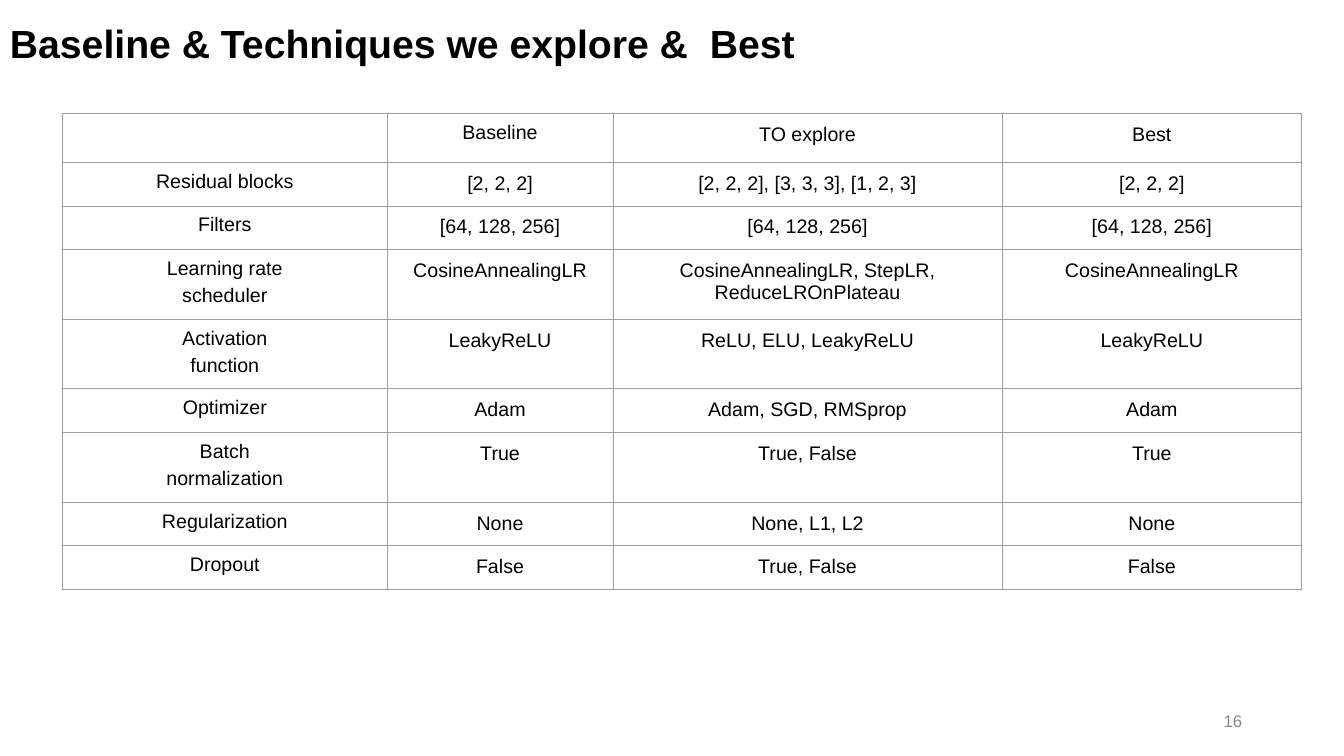
from lxml import etree
from pptx import Presentation
from pptx.dml.color import RGBColor
from pptx.enum.text import MSO_ANCHOR as Anchor, PP_ALIGN as Align
from pptx.oxml.ns import qn
from pptx.util import Inches, Pt

# Content: a line break in a label starts a new paragraph
TITLE = "Baseline & Techniques we explore &  Best"
PAGE_NUMBER = "16"
SETTINGS = [
    ("", "Baseline", "TO explore", "Best"),
    ("Residual blocks", "[2, 2, 2]", "[2, 2, 2], [3, 3, 3], [1, 2, 3]", "[2, 2, 2]"),
    ("Filters", "[64, 128, 256]", "[64, 128, 256]", "[64, 128, 256]"),
    ("Learning rate\nscheduler", "CosineAnnealingLR",
     "CosineAnnealingLR, StepLR, ReduceLROnPlateau", "CosineAnnealingLR"),
    ("Activation\nfunction", "LeakyReLU", "ReLU, ELU, LeakyReLU", "LeakyReLU"),
    ("Optimizer", "Adam", "Adam, SGD, RMSprop", "Adam"),
    ("Batch\nnormalization", "True", "True, False", "True"),
    ("Regularization", "None", "None, L1, L2", "None"),
    ("Dropout", "False", "True, False", "False"),
]

# Look and layout, in inches
COLORS = {"text": "000000", "number": "888888", "border": "9E9E9E"}
FONT = "Arial"
SLIDE_W, SLIDE_H = 13.33, 7.5
TABLE_LEFT, TABLE_TOP = 0.62, 1.13
COLUMN_WIDTHS = [3.22, 2.24, 3.86, 2.97]
HEADER_H, ROW_H, EXTRA_LINE_H = 0.48, 0.42, 0.25
CELL_MARGIN = 0.1
BORDER_PT = 0.75


def write(paragraph, text, size, color, align, bold=False, spacing=None):
    paragraph.alignment = align
    paragraph.line_spacing = spacing
    paragraph.font.size = Pt(size)
    if text:
        run = paragraph.add_run()
        run.text = text
        run.font.name = FONT
        run.font.size = Pt(size)
        run.font.bold = bold
        run.font.color.rgb = RGBColor.from_string(COLORS[color])


def add_text(slide, box, text, *style, **options):
    frame = slide.shapes.add_textbox(*map(Inches, box)).text_frame
    frame.word_wrap = True
    frame.vertical_anchor = Anchor.MIDDLE
    write(frame.paragraphs[0], text, *style, **options)


def draw_borders(cell):
    properties = cell._tc.get_or_add_tcPr()
    for side in ("a:lnL", "a:lnR", "a:lnT", "a:lnB"):
        line = etree.SubElement(properties, qn(side), w=str(Pt(BORDER_PT)))
        fill = etree.SubElement(line, qn("a:solidFill"))
        etree.SubElement(fill, qn("a:srgbClr"), val=COLORS["border"])


def fill_cell(cell, text, is_label):
    draw_borders(cell)
    cell.fill.background()
    cell.margin_left = cell.margin_right = Inches(CELL_MARGIN)
    cell.margin_top = cell.margin_bottom = Inches(CELL_MARGIN)
    frame = cell.text_frame
    for i, line in enumerate(text.split("\n")):
        paragraph = frame.add_paragraph() if i else frame.paragraphs[0]
        write(paragraph, line, 14, "text", Align.CENTER,
              spacing=0.9 if is_label else None)
        if i:
            paragraph.space_before = Pt(5)


def add_settings_table(slide):
    heights = [HEADER_H] + [ROW_H + EXTRA_LINE_H * row[0].count("\n")
                            for row in SETTINGS[1:]]
    table = slide.shapes.add_table(
        len(SETTINGS), len(COLUMN_WIDTHS), Inches(TABLE_LEFT), Inches(TABLE_TOP),
        Inches(sum(COLUMN_WIDTHS)), Inches(sum(heights))).table
    table.first_row = table.horz_banding = False
    for column, width in zip(table.columns, COLUMN_WIDTHS):
        column.width = Inches(width)
    for r, (row, height) in enumerate(zip(SETTINGS, heights)):
        table.rows[r].height = Inches(height)
        for c, text in enumerate(row):
            # Row labels and the "Baseline" heading are set tighter
            fill_cell(table.cell(r, c), text, c == 0 or (r, c) == (0, 1))


def main():
    deck = Presentation()
    deck.slide_width, deck.slide_height = Inches(SLIDE_W), Inches(SLIDE_H)
    slide = deck.slides.add_slide(deck.slide_layouts[6])

    # Title, table, page number
    add_text(slide, (0, 0, 12.5, 0.91), TITLE, 28, "text", Align.LEFT,
             bold=True, spacing=0.9)
    add_settings_table(slide)
    add_text(slide, (9.42, 6.95, 3, 0.4), PAGE_NUMBER, 12, "number", Align.RIGHT)

    deck.save("out.pptx")


if __name__ == "__main__":
    main()
